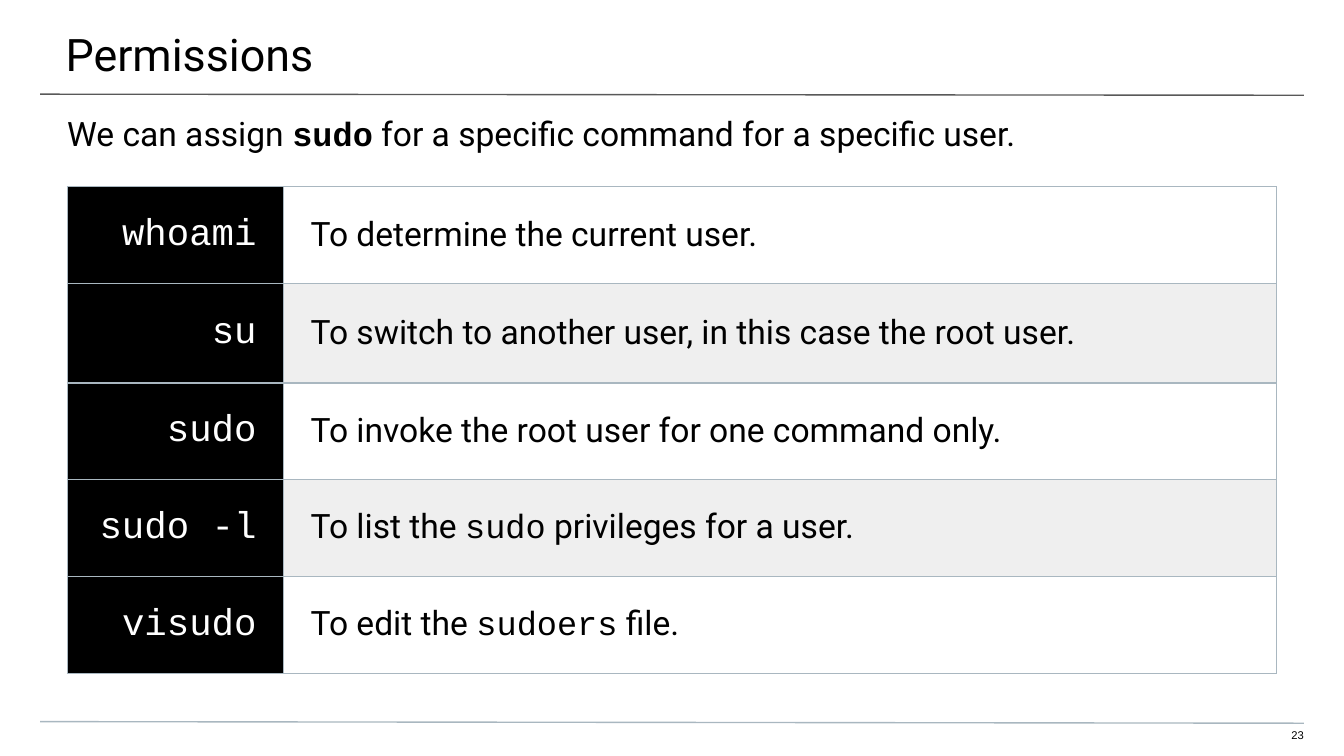
from dataclasses import dataclass

from lxml.etree import SubElement
from pptx import Presentation
from pptx.dml.color import RGBColor
from pptx.enum.shapes import MSO_CONNECTOR
from pptx.enum.text import MSO_ANCHOR, MSO_AUTO_SIZE, PP_ALIGN
from pptx.oxml.ns import qn
from pptx.slide import Slide
from pptx.table import _Cell
from pptx.text.text import TextFrame
from pptx.util import Cm, Pt

HUES = {
    "black": "000000",
    "white": "FFFFFF",
    "band": "EFEFEF",
    "grey": "595959",
    "steel": "A9B7C0",
}
SANS, MONO = "Roboto", "Courier New"


@dataclass
class Rule:
    top: float
    end: float
    hue: str


@dataclass
class Entry:
    code: str
    note: str
    high: float = 1.83


RULES = [Rule(1.78, 1.8, "grey"), Rule(13.64, 13.67, "steel")]
ENTRIES = [
    Entry("whoami", "To determine the current user."),
    Entry("su", "To switch to another user, in this case the root user.", 1.88),
    Entry("sudo", "To invoke the root user for one command only."),
    Entry("sudo -l", "To list the `sudo` privileges for a user."),
    Entry("visudo", "To edit the `sudoers` file."),
]


def color(hue: str) -> RGBColor:
    return RGBColor.from_string(HUES[hue])


def write(frame: TextFrame, text: str, *, size: float, font: str = SANS,
          hue: str = "black", align: PP_ALIGN = PP_ALIGN.LEFT,
          bold: bool = False) -> None:
    para = frame.paragraphs[0]
    para.alignment = align
    para.space_before = Pt(0)
    for i, part in enumerate(text.split("`")):
        code = i % 2 == 1
        run = para.add_run()
        run.text = part
        run.font.name = MONO if code else font
        run.font.size = Pt(size)
        run.font.bold = bold and code
        run.font.color.rgb = color(hue)


def place(shape, box: tuple, pads: tuple) -> TextFrame:
    shape.left, shape.top, shape.width, shape.height = map(Cm, box)
    frame = shape.text_frame
    frame.word_wrap = True
    frame.auto_size = MSO_AUTO_SIZE.NONE
    frame.vertical_anchor = MSO_ANCHOR.TOP
    (frame.margin_left, frame.margin_top,
     frame.margin_right, frame.margin_bottom) = map(Cm, pads)
    return frame


def draw_rule(slide: Slide, rule: Rule) -> None:
    line = slide.shapes.add_connector(
        MSO_CONNECTOR.STRAIGHT, Cm(0.76), Cm(rule.top), Cm(24.64), Cm(rule.end))
    line.line.color.rgb = color(rule.hue)
    line.line.width = Pt(0.75)
    SubElement(line._element.spPr, qn("a:effectLst"))


def style(cell: _Cell, fill: str) -> None:
    props = cell._tc.get_or_add_tcPr()
    for side in ("lnL", "lnR", "lnT", "lnB"):
        edge = SubElement(props, qn(f"a:{side}"), w=str(Pt(0.75)))
        paint = SubElement(edge, qn("a:solidFill"))
        SubElement(paint, qn("a:srgbClr"), val=HUES["steel"])
    cell.fill.solid()
    cell.fill.fore_color.rgb = color(fill)
    cell.vertical_anchor = MSO_ANCHOR.MIDDLE
    cell.margin_left = cell.margin_right = Cm(0.51)
    cell.margin_top = cell.margin_bottom = Cm(0.25)


def draw_table(slide: Slide, items: list[Entry]) -> None:
    high = sum(item.high for item in items)
    table = slide.shapes.add_table(
        len(items), 2, Cm(1.27), Cm(3.53), Cm(22.86), Cm(high)).table
    table.first_row = table.horz_banding = False
    for col, wide in zip(table.columns, (4.09, 18.77)):
        col.width = Cm(wide)
    for i, item in enumerate(items):
        table.rows[i].height = Cm(item.high)
        code, note = table.cell(i, 0), table.cell(i, 1)
        style(code, "black")
        style(note, "band" if i % 2 else "white")
        write(code.text_frame, item.code, size=20, font=MONO, hue="white",
              align=PP_ALIGN.RIGHT)
        write(note.text_frame, item.note, size=18)


def main() -> None:
    deck = Presentation()
    deck.slide_width, deck.slide_height = Cm(25.4), Cm(14.29)
    slide = deck.slides.add_slide(deck.slide_layouts[0])
    for rule in RULES:
        draw_rule(slide, rule)
    title = place(slide.shapes.title, (-0.03, 0, 25.48, 1.47),
                  (1.27, 0.51, 0.76, 0.25))
    write(title, "Permissions", size=24)
    lead = place(slide.placeholders[1], (0, 1.88, 25.4, 1.02),
                 (1.27, 0.25, 1.27, 0))
    write(lead, "We can assign `sudo` for a specific command for a specific user.",
          size=18, bold=True)
    page = place(slide.shapes.add_textbox(0, 0, 0, 0),
                 (23.9, 13.77, 0.74, 0.3), (0, 0, 0, 0.25))
    write(page, "23", size=6, font="Arial", align=PP_ALIGN.RIGHT)
    draw_table(slide, ENTRIES)
    deck.save("out.pptx")


if __name__ == "__main__":
    main()
